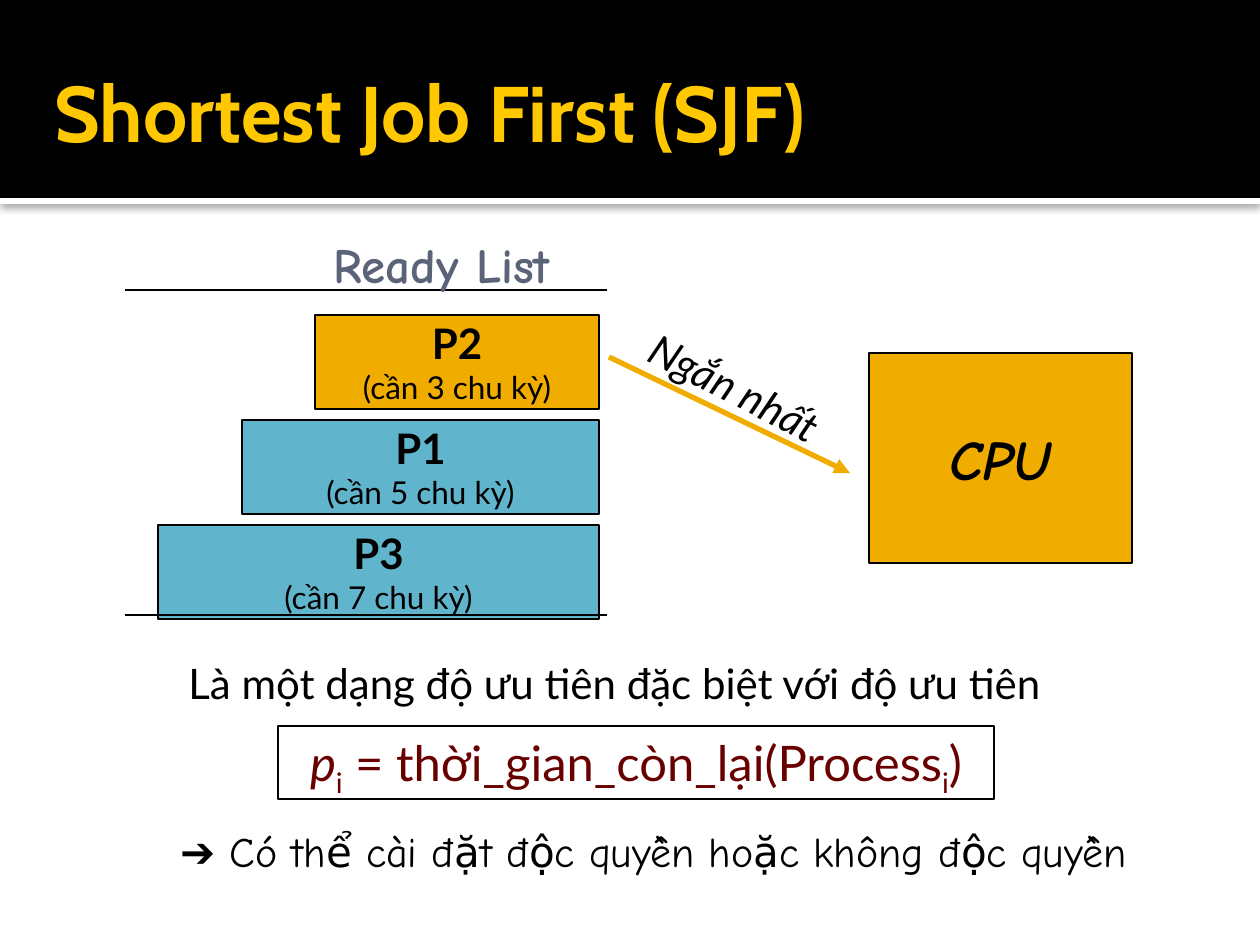
import pptx
import pptx.util
import pptx.oxml
import pptx.dml.color
import pptx.enum.shapes
import pptx.enum.text
from pptx.oxml.ns import nsdecls, qn

ALIGN = pptx.enum.text.PP_ALIGN
ANCHOR = pptx.enum.text.MSO_ANCHOR
FIT = pptx.enum.text.MSO_AUTO_SIZE.SHAPE_TO_FIT_TEXT
RECT = pptx.enum.shapes.MSO_SHAPE.RECTANGLE
LINE = pptx.enum.shapes.MSO_CONNECTOR.STRAIGHT

THEME = {
    "black": "000000", "white": "FFFFFF", "gold": "FFC800", "amber": "F0AD00",
    "blue": "60B5CC", "slate": "5A6378", "maroon": "680000",
    "head": "Cabin", "body": "Lato", "hand": "Comic Neue",
    "title": 45, "cpu": 32, "large": 28, "text": 24, "small": 18,
    "thin": 0.75, "thick": 3,
}

# Jobs in queue order: name, cycles, bar width in px, fill
JOBS = [("P2", 3, 284, "amber"), ("P1", 5, 357, "blue"), ("P3", 7, 441, "blue")]
EDGE, TOP, STEP, TALL = 599, 315, 105, 94  # right edge, first bar, pitch, height
RAILS = [290, 615]
CPU = (869, 353, 263, 210)

BASE = {"name": "body", "size": "text", "color": "black"}
HAND = BASE | {"name": "hand"}
RULE = BASE | {"size": "large", "color": "maroon"}
SUB = RULE | {"base": -25000}

# Free text: place, turn in degrees, words, format
NOTES = [
    ((630, 358, 218, 63), 27.1, "Ngắn nhất", BASE | {"italic": True}),
    ((321, 228, 276, 72), 0, "Ready List",
     HAND | {"size": "large", "color": "slate", "bold": True}),
    ((176, 651, 895, 63), 0, "Là một dạng độ ưu tiên đặc biệt với độ ưu tiên", BASE),
    ((168, 819, 973, 63), 0, "➔ Có thể cài đặt độc quyền hoặc không độc quyền", HAND),
]
FORMULA = [("p", RULE | {"italic": True}), ("i", SUB),
           (" = thời_gian_còn_lại(Process", RULE), ("i", SUB), (")", RULE)]


def px(n):
    return round(n * 914400 / 126)


def rgb(key):
    return pptx.dml.color.RGBColor.from_string(THEME[key])


def write(shape, runs, **form):
    """Fill a shape with one paragraph; a run of None is a line break."""
    frame = shape.text_frame
    align = form.pop("align", ALIGN.LEFT)
    for key, val in form.items():
        setattr(frame, key, val)
    para = frame.paragraphs[0]
    para.alignment = align
    for item in runs:
        if item is None:
            para.add_line_break()
            continue
        run = para.add_run()
        run.text, look = item
        for key, val in look.items():
            if key == "color":
                run.font.color.rgb = rgb(val)
            elif key == "base":
                run.font._element.set("baseline", str(val))
            elif key == "size":
                run.font.size = pptx.util.Pt(THEME[val])
            else:
                setattr(run.font, key, THEME[val] if key == "name" else val)


def box(slide, place, fill=None, edge=None):
    shape = slide.shapes.add_shape(RECT, *map(px, place))
    shape.shadow.inherit = False
    if fill:
        shape.fill.solid()
        shape.fill.fore_color.rgb = rgb(fill)
    else:
        shape.fill.background()
    if edge:
        shape.line.color.rgb = rgb(edge)
        shape.line.width = pptx.util.Pt(THEME["thin"])
    else:
        shape.line.fill.background()
    return shape


def note(slide, place, turn, words, look, **form):
    area = slide.shapes.add_textbox(*map(px, place))
    area.rotation = turn
    write(area, [(words, look)], **form)
    return area


def rule(slide, ends, color, width, arrow=False):
    line = slide.shapes.add_connector(LINE, *map(px, ends))
    line.line.color.rgb = rgb(color)
    line.line.width = pptx.util.Pt(THEME[width])
    props = line._element.spPr
    if arrow:
        props.find(qn("a:ln")).append(pptx.oxml.parse_xml(
            f'<a:tailEnd {nsdecls("a")} type="triangle"/>'))
    props.append(pptx.oxml.parse_xml(f'<a:effectLst {nsdecls("a")}/>'))


def header(slide):
    strip = box(slide, (0, 198, 1260, 6), "white")
    strip._element.spPr.find(qn("a:effectLst")).append(pptx.oxml.parse_xml(
        f'<a:outerShdw {nsdecls("a")} blurRad="63500" dist="10160" dir="5400000">'
        '<a:srgbClr val="000000"><a:alpha val="60000"/></a:srgbClr></a:outerShdw>'))
    box(slide, (0, 0, 1260, 198), "black")
    look = {"name": "head", "size": "title", "color": "gold", "bold": True}
    note(slide, (42, 32, 1029, 157), 0, "Shortest Job First (SJF)", look,
         word_wrap=True, vertical_anchor=ANCHOR.MIDDLE)


def main():
    deck = pptx.Presentation()
    deck.slide_width, deck.slide_height = px(1260), px(945)
    slide = deck.slides.add_slide(deck.slide_layouts[6])
    header(slide)

    mid = {"align": ALIGN.CENTER, "vertical_anchor": ANCHOR.MIDDLE, "word_wrap": False}
    for row, (name, need, wide, fill) in enumerate(JOBS):
        bar = box(slide, (EDGE - wide, TOP + row * STEP, wide, TALL), fill, "black")
        write(bar, [(name, BASE | {"bold": True}), None,
                    (f"(cần {need} chu kỳ)", BASE | {"size": "small"})], **mid)
    for y in RAILS:
        rule(slide, (125, y, 607, y), "black", "thin")
    rule(slide, (609, 357, 850, 473), "amber", "thick", arrow=True)

    core = box(slide, CPU, "amber", "black")
    write(core, [("CPU", HAND | {"size": "cpu", "bold": True, "italic": True})], **mid)

    frame = box(slide, (278, 726, 716, 73), edge="black")
    write(frame, FORMULA, align=ALIGN.CENTER, vertical_anchor=ANCHOR.TOP,
          word_wrap=True, auto_size=FIT)
    for item in NOTES:
        note(slide, *item, word_wrap=False, auto_size=FIT)
    deck.save("out.pptx")


if __name__ == "__main__":
    main()
